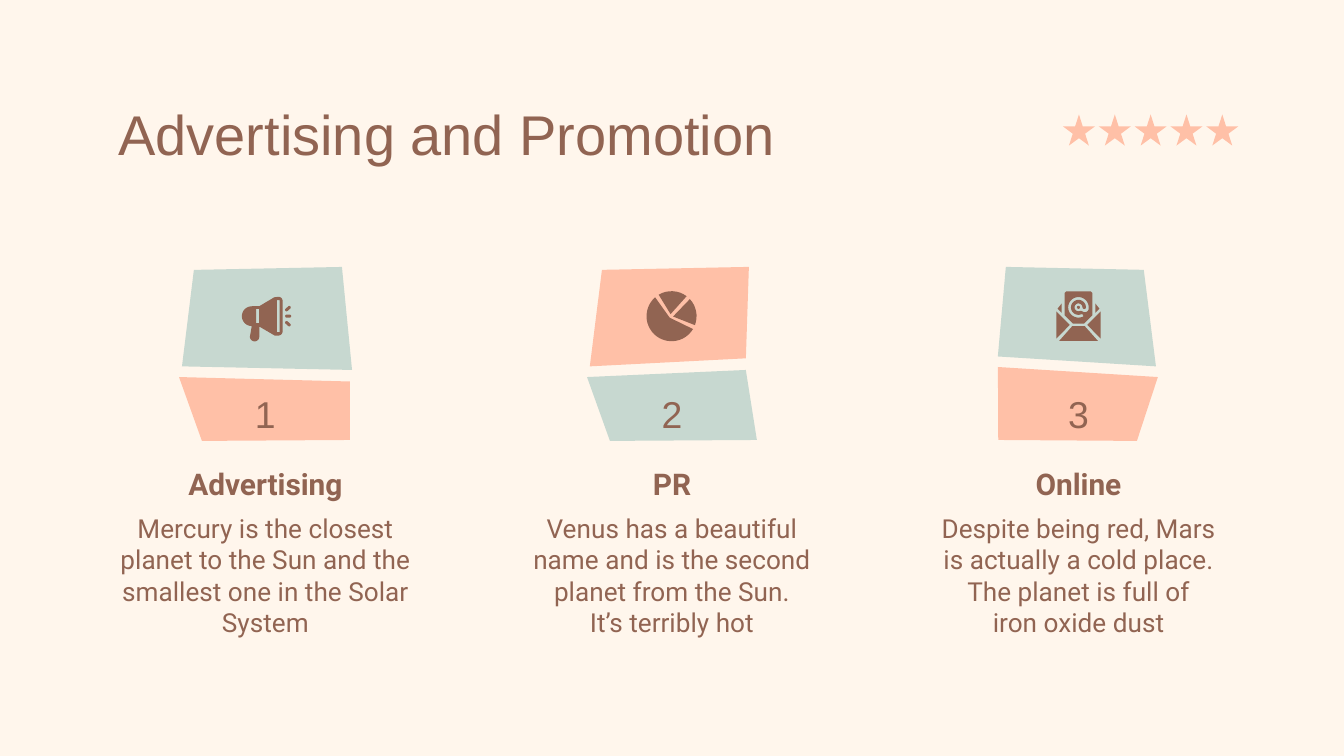
from dataclasses import dataclass
from math import cos, radians, sin

from pptx import Presentation
from pptx.dml.color import RGBColor
from pptx.enum.shapes import MSO_SHAPE
from pptx.enum.text import MSO_ANCHOR, PP_ALIGN
from pptx.util import Pt


@dataclass(frozen=True)
class Theme:
    cream: str = "FFF6EC"
    peach: str = "FFC0A7"
    sage: str = "C7D8D0"
    brown: str = "916452"
    display: str = "Arial"
    body: str = "Roboto"
    title_size: int = 30
    number_size: int = 20
    heading_size: int = 16
    body_size: int = 14


THEME = Theme()


def arc(x, y, radius, start, end):
    steps = max(8, round(abs(end - start) / 8))
    angles = [radians(start + (end - start) * i / steps) for i in range(steps + 1)]
    return [(x + radius * cos(a), y + radius * sin(a)) for a in angles]


def capsule(x, y, length, radius, angle):
    far_x, far_y = x + length * cos(radians(angle)), y + length * sin(radians(angle))
    return (arc(x, y, radius, angle + 90, angle + 270)
            + arc(far_x, far_y, radius, angle - 90, angle + 90))


def box(left, top, right, bottom):
    return [(left, top), (right, top), (right, bottom), (left, bottom)]


def mirrored(outline):
    return [(-x, y) for x, y in outline]


HORN = ([(-3.2, -5.4), (4.7, -10.1)] + arc(6.9, -8.1, 2.3, -90, 0)
        + arc(6.9, 8.1, 2.3, 0, 90) + [(5, 10.4), (-3.2, 5.6)]
        + arc(-5.8, 11, 2.5, 0, 180) + arc(-7.3, 0, 5.3, 90, 270))
MEGAPHONE = [
    [HORN, box(-5, -3.9, -3.4, 3.8), box(6.1, -8.6, 7.6, 8.6)],
    [capsule(11.4, 0, 1.6, 0.8, 0)],
    [capsule(11.4, -3.4, 1.9, 0.8, -42)],
    [capsule(11.4, 3.4, 1.9, 0.8, 42)],
]

SLICES = [((-0.7, -1.1), -121, -53), ((0.6, 0.2), -43, 21), ((-1.2, 0.8), 31, 229)]
PIE = [[[apex] + arc(-0.2, 0, 13.4, start, end)] for apex, start, end in SLICES]

AT_SIGN = (arc(0, -4.7, 5.5, 60, 360) + arc(3.4, -4.2, 2.1, 0, 130)
           + arc(0, -4.7, 2.1, 60, 360) + arc(3.1, -4.7, 0.9, 180, 0)
           + arc(0, -4.7, 4, 360, 60))
LETTER = [(-7.4, -12.4), (-6.5, -13.3), (6.5, -13.3), (7.4, -12.4),
          (7.4, -0.4), (3, 4), (-3, 4), (-7.4, -0.4)]
SIDE = [(-11.9, -2.5), (-11.9, 12), (-4.7, 4.7)]
CORNER = [(-9, -6.8), (-11.2, -4), (-9, -1.8)]
ENVELOPE = [
    [SIDE], [mirrored(SIDE)], [CORNER], [mirrored(CORNER)],
    [[(-3.3, 5.3), (-10.4, 13.3), (10.4, 13.3), (3.3, 5.3)]],
    [LETTER, AT_SIGN],
    [arc(0, -4.7, 0.8, 0, 360)],
]

TITLE = "Advertising and Promotion"
CHANNELS = [
    {
        "heading": "Advertising",
        "detail": "Mercury is the closest planet to the Sun and the smallest one in the Solar System",
        "upper": [(-38.3, 144.6), (41, 143), (46.4, 198.2), (-44.7, 196.3)],
        "lower": [(-46.3, 202), (45.3, 204.4), (45.3, 235.7), (-34, 236.2)],
        "colors": (THEME.sage, THEME.peach),
        "icon": MEGAPHONE,
    },
    {
        "heading": "PR",
        "detail": "Venus has a beautiful name and is the second planet from the Sun.\vIt’s terribly hot",
        "upper": [(-37.5, 144.6), (41.2, 143), (39.6, 192), (-44, 196.3)],
        "lower": [(-45.5, 202), (39.6, 198.2), (45.5, 235.7), (-33.2, 236.2)],
        "colors": (THEME.peach, THEME.sage),
        "icon": PIE,
    },
    {
        "heading": "Online",
        "detail": "Despite being red, Mars is actually a cold place. The planet is full of\viron oxide dust",
        "upper": [(-38.9, 143), (35, 144.6), (41.5, 196.3), (-43.2, 191)],
        "lower": [(-43.2, 196.6), (42.5, 202), (31.3, 236.2), (-43, 235.7)],
        "colors": (THEME.sage, THEME.peach),
        "icon": ENVELOPE,
    },
]

FIRST_CENTER, COLUMN_PITCH, COLUMN_WIDTH = 142.2, 217.8, 172
ICON_CENTER_Y = 169.4
STAR_COUNT, STAR_LEFT, STAR_PITCH = 5, 569.4, 19.2


def paint(shape, color):
    shape.shadow.inherit = False
    shape.fill.solid()
    shape.fill.fore_color.rgb = RGBColor.from_string(color)
    shape.line.fill.background()


def draw_outlines(slide, outlines, x, y, color):
    builder = None
    for outline in outlines:
        points = [(Pt(x + dx), Pt(y + dy)) for dx, dy in outline]
        if builder is None:
            builder = slide.shapes.build_freeform(*points[0], scale=1.0)
        else:
            builder.move_to(*points[0])
        builder.add_line_segments(points[1:], close=True)
    paint(builder.convert_to_shape(), color)


def write(shape, text, size, font, align=PP_ALIGN.CENTER, anchor=MSO_ANCHOR.MIDDLE,
          top_inset=0, bold=False):
    frame = shape.text_frame
    frame.text = text
    frame.word_wrap = True
    frame.vertical_anchor = anchor
    frame.margin_left = frame.margin_right = Pt(7.2)
    frame.margin_top, frame.margin_bottom = Pt(top_inset), 0
    paragraph = frame.paragraphs[0]
    paragraph.alignment = align
    for run in paragraph.runs:
        run.font.name = font
        run.font.size = Pt(size)
        run.font.bold = bold
        run.font.color.rgb = RGBColor.from_string(THEME.brown)


def add_label(slide, center, top, width, height, text, size, font, **style):
    label = slide.shapes.add_textbox(Pt(center - width / 2), Pt(top), Pt(width), Pt(height))
    write(label, text, size, font, **style)


def add_channel(slide, index, channel):
    center = FIRST_CENTER + index * COLUMN_PITCH
    for part, color in zip(("lower", "upper"), reversed(channel["colors"])):
        draw_outlines(slide, [channel[part]], center, 0, color)
    for outlines in channel["icon"]:
        draw_outlines(slide, outlines, center, ICON_CENTER_Y, THEME.brown)
    add_label(slide, center, 210.5, 62.6, 22.3, str(index + 1),
              THEME.number_size, THEME.display)
    add_label(slide, center, 248, COLUMN_WIDTH, 22.3, channel["heading"],
              THEME.heading_size, THEME.body, bold=True)
    add_label(slide, center, 267.3, COLUMN_WIDTH, 75.6, channel["detail"],
              THEME.body_size, THEME.body, anchor=MSO_ANCHOR.TOP, top_inset=7.2)


def main():
    deck = Presentation()
    deck.slide_width, deck.slide_height = Pt(720), Pt(405)
    slide = deck.slides.add_slide(deck.slide_layouts[5])
    slide.background.fill.solid()
    slide.background.fill.fore_color.rgb = RGBColor.from_string(THEME.cream)

    title = slide.shapes.title
    title.left, title.top, title.width, title.height = Pt(56.2), Pt(42.5), Pt(607.7), Pt(45.4)
    write(title, TITLE, THEME.title_size, THEME.display,
          align=PP_ALIGN.LEFT, anchor=MSO_ANCHOR.TOP, top_inset=10.7)

    for i in range(STAR_COUNT):
        star = slide.shapes.add_shape(MSO_SHAPE.STAR_5_POINT, Pt(STAR_LEFT + i * STAR_PITCH),
                                      Pt(61.3), Pt(17.3), Pt(16.7))
        paint(star, THEME.peach)
    for index, channel in enumerate(CHANNELS):
        add_channel(slide, index, channel)
    deck.save("out.pptx")


if __name__ == "__main__":
    main()
